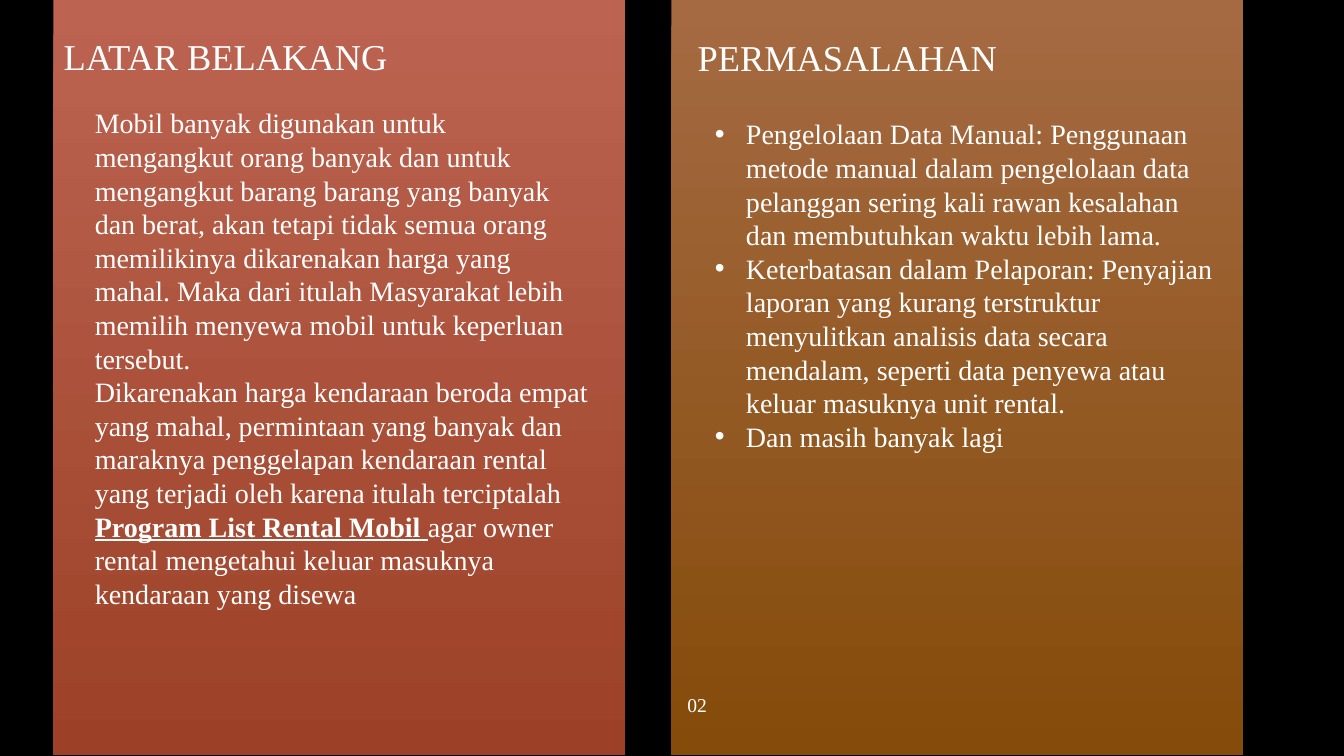
from lxml.etree import SubElement
from pptx import Presentation
from pptx.dml.color import RGBColor
from pptx.enum.shapes import MSO_SHAPE
from pptx.enum.text import MSO_ANCHOR, MSO_AUTO_SIZE, PP_ALIGN
from pptx.oxml.ns import qn
from pptx.util import Inches, Pt

COLORS = {
    "background": "000000",
    "text": "FFFFFF",
    "red_top": "BC6451",
    "red_bottom": "9C4127",
    "brown_top": "A56A42",
    "brown_bottom": "844B0A",
}
FONT = "Times New Roman"
HEADING_SIZE, BODY_SIZE, NUMBER_SIZE = 26, 20, 14
PANEL_LEFT, PANEL_WIDTH, PANEL_PITCH = 3.98, 42.53, 45.98

BACKGROUND_STORY = [
    ["Mobil banyak digunakan untuk mengangkut orang banyak dan untuk mengangkut "
     "barang barang yang banyak dan berat, akan tetapi tidak semua orang memilikinya "
     "dikarenakan harga yang mahal. Maka dari itulah Masyarakat lebih memilih menyewa "
     "mobil untuk keperluan tersebut."],
    ["Dikarenakan harga kendaraan beroda empat yang mahal, permintaan yang banyak dan "
     "maraknya penggelapan kendaraan rental yang terjadi oleh karena itulah terciptalah ",
     "Program List Rental Mobil ",
     "agar owner rental mengetahui keluar masuknya kendaraan yang disewa"],
]
PROBLEMS = [
    ["Pengelolaan Data Manual: Penggunaan metode manual dalam pengelolaan data "
     "pelanggan sering kali rawan kesalahan dan membutuhkan waktu lebih lama."],
    ["Keterbatasan dalam Pelaporan: Penyajian laporan yang kurang terstruktur "
     "menyulitkan analisis data secara mendalam, seperti data penyewa atau keluar "
     "masuknya unit rental."],
    ["Dan masih banyak lagi"],
]


def color(name):
    return RGBColor.from_string(COLORS[name])


class PanelSlide:
    """Builds one slide; every box is (left, top, width, height) in percent of it."""

    def __init__(self, deck):
        self.deck = deck
        self.slide = deck.slides.add_slide(deck.slide_layouts.get_by_name("Comparison"))
        self.holders = {p.placeholder_format.idx: p for p in self.slide.placeholders}
        fill = self.slide.background.fill
        fill.solid()
        fill.fore_color.rgb = color("background")

    def lengths(self, box):
        left, top, width, height = box
        across, down = self.deck.slide_width / 100, self.deck.slide_height / 100
        return [round(v) for v in (left * across, top * down, width * across, height * down)]

    def panel(self, column, top_color, bottom_color):
        box = (PANEL_LEFT + column * PANEL_PITCH, -0.13, PANEL_WIDTH, 100)
        panel = self.slide.shapes.add_shape(MSO_SHAPE.RECTANGLE, *self.lengths(box))
        panel.shadow.inherit = False
        panel.line.fill.background()
        panel.fill.gradient()
        panel.fill.gradient_angle = 270
        for stop, name in zip(panel.fill.gradient_stops, (top_color, bottom_color)):
            stop.color.rgb = color(name)
        # Panels belong behind the placeholders
        self.slide.shapes.title._element.addprevious(panel._element)

    def style(self, run, size, strong=False):
        run.font.name = FONT
        run.font.size = Pt(size)
        run.font.color.rgb = color("text")
        run.font.bold = run.font.underline = strong

    def placeholder(self, idx, box):
        holder = self.holders.pop(idx)
        holder.left, holder.top, holder.width, holder.height = self.lengths(box)
        frame = holder.text_frame
        frame.word_wrap = True
        frame.auto_size = MSO_AUTO_SIZE.NONE
        frame.vertical_anchor = MSO_ANCHOR.TOP
        return frame

    def heading(self, idx, box, wording):
        frame = self.placeholder(idx, box)
        frame.text = wording
        paragraph = frame.paragraphs[0]
        paragraph.alignment = PP_ALIGN.LEFT
        paragraph.space_before = Pt(0)
        self.style(paragraph.runs[0], HEADING_SIZE)

    def body(self, idx, box, paragraphs, bulleted=False):
        """Fill a body placeholder; the second part of a paragraph is emphasised."""
        frame = self.placeholder(idx, box)
        for i, parts in enumerate(paragraphs):
            paragraph = frame.add_paragraph() if i else frame.paragraphs[0]
            self.bullet(paragraph, bulleted)
            paragraph.space_before = Pt(0)
            for j, part in enumerate(parts):
                run = paragraph.add_run()
                run.text = part
                self.style(run, BODY_SIZE, strong=j == 1)

    def bullet(self, paragraph, shown):
        props = paragraph._p.get_or_add_pPr()
        indent = Inches(0.31) if shown else 0
        props.set("marL", str(indent))
        props.set("indent", str(-indent))
        if shown:
            SubElement(props, qn("a:buFont"), typeface="Arial")
            SubElement(props, qn("a:buChar"), char="•")
        else:
            SubElement(props, qn("a:buNone"))

    def page_number(self, box, wording):
        frame = self.slide.shapes.add_textbox(*self.lengths(box)).text_frame
        frame.margin_left = frame.margin_right = frame.margin_top = frame.margin_bottom = 0
        frame.word_wrap = True
        frame.vertical_anchor = MSO_ANCHOR.MIDDLE
        frame.text = wording
        self.style(frame.paragraphs[0].runs[0], NUMBER_SIZE)

    def remove_unused(self):
        for holder in self.holders.values():
            holder._element.getparent().remove(holder._element)


def main():
    deck = Presentation()
    deck.slide_width, deck.slide_height = Inches(13.33), Inches(7.5)
    page = PanelSlide(deck)
    page.panel(0, "red_top", "red_bottom")
    page.panel(1, "brown_top", "brown_bottom")
    page.heading(0, (3.98, 3.87, 39.38, 7.2), "LATAR BELAKANG")
    page.body(2, (6.3, 13.33, 38.33, 64.13), BACKGROUND_STORY)
    page.heading(3, (51.15, 4, 34.35, 7.2), "PERMASALAHAN")
    page.body(4, (52.43, 14.8, 38.63, 54.27), PROBLEMS, bulleted=True)
    page.page_number((51.15, 91.5, 2.63, 3.5), "02")
    page.remove_unused()
    deck.save("out.pptx")


if __name__ == "__main__":
    main()
